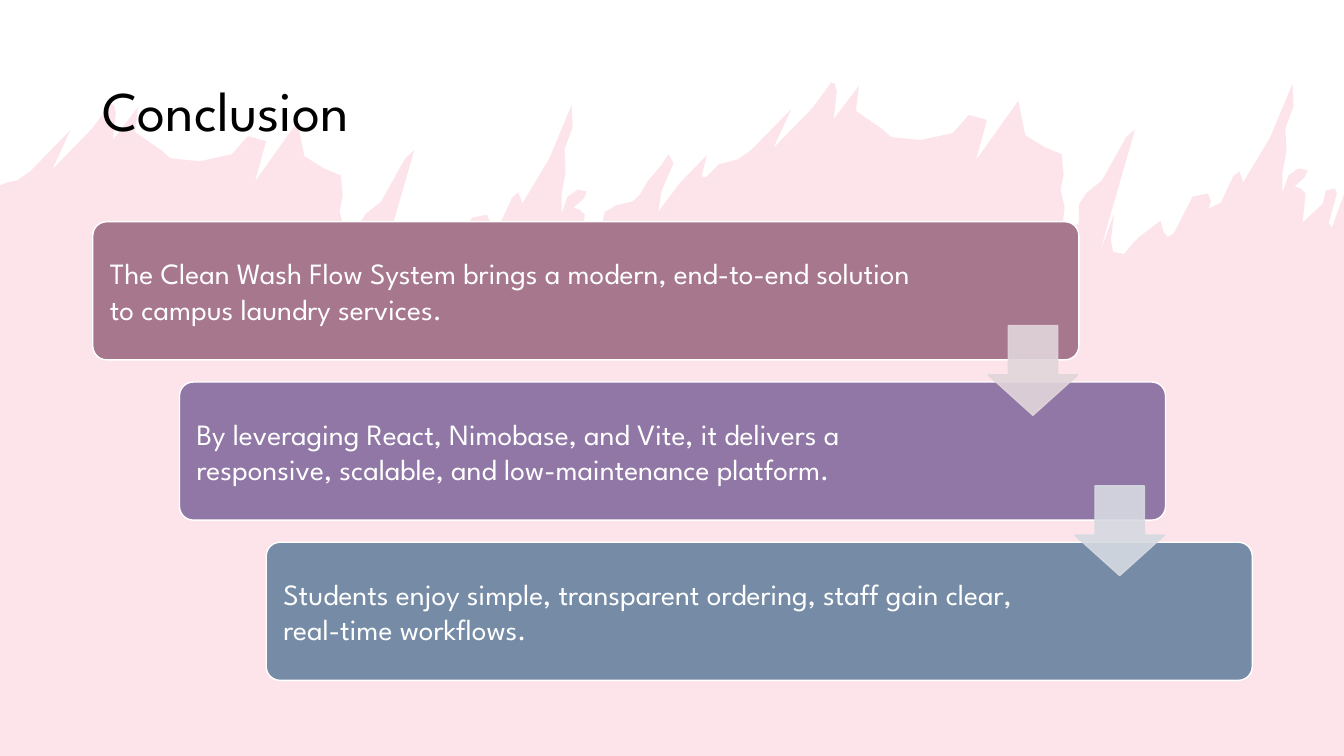
import dataclasses

import pptx
import pptx.dml.color
import pptx.enum.shapes
import pptx.enum.text
import pptx.oxml
import pptx.oxml.ns
import pptx.util

SHAPES = pptx.enum.shapes.MSO_SHAPE
ANCHOR = pptx.enum.text.MSO_ANCHOR

BRUSH_STROKE = [
    (732, 158), (745, 149), (785, 108), (767, 147), (806, 107), (820, 88),
    (824, 82), (828, 83), (830, 91), (827, 118), (852, 85), (849, 110),
    (859, 117), (875, 128), (884, 136), (913, 139), (945, 132), (961, 114),
    (979, 119), (968, 159), (1010, 100), (1012, 110), (1017, 134), (1036, 146),
    (1053, 153), (1055, 173), (1052, 188), (1056, 206), (1054, 221), (1057, 234),
    (1070, 221), (1070, 203), (1078, 191), (1093, 179), (1117, 136), (1126, 128),
    (1108, 190), (1091, 250), (1105, 212), (1102, 238), (1104, 250), (1115, 252),
    (1124, 241), (1130, 235), (1151, 219), (1154, 230), (1158, 235), (1164, 232),
    (1183, 195), (1198, 192), (1201, 199), (1199, 207), (1211, 201), (1223, 175),
    (1229, 170), (1232, 177), (1233, 181), (1260, 136), (1282, 83), (1283, 105),
    (1275, 127), (1276, 150), (1272, 172), (1272, 191), (1278, 174), (1288, 167),
    (1297, 169), (1294, 176), (1284, 185), (1290, 187), (1295, 192), (1292, 221),
    (1312, 202), (1315, 189),
]
STROKE_GAP = [
    (606, 207), (610, 204), (627, 200), (634, 194), (643, 179), (656, 164),
    (663, 153), (668, 162), (656, 190), (653, 210), (674, 182),
    (701, 154), (696, 175), (700, 176), (713, 163),
]
RIGHT_EDGE = [
    (1324, 187), (1326, 192), (1318, 221), (1321, 226), (1333, 193),
    (1333, 750), (0, 750), (0, 184), (7, 181),
]


@dataclasses.dataclass
class Theme:
    """Colours and type sizes of the slide."""
    font: str = "League Spartan"
    title_size: int = 40
    card_size: int = 21
    title: str = "000000"
    light: str = "FFFFFF"
    brush: str = "F07C98"
    cards: tuple = ("A6778D", "9077A6", "768BA6")
    arrows: tuple = ("E1D6DB", "D6DAE1")


class SlideBuilder:
    """Draws styled elements on the current slide."""

    def __init__(self, presentation, theme):
        self.theme = theme
        self.slide = presentation.slides.add_slide(presentation.slide_layouts[6])

    @staticmethod
    def px(length):
        """Turn px into EMU."""
        return pptx.util.Emu(length * 9144)

    def paint(self, fill, color, parent, opacity=100):
        """Apply a solid colour with an opacity in percent."""
        fill.solid()
        fill.fore_color.rgb = pptx.dml.color.RGBColor.from_string(color)
        if opacity < 100:
            solid = parent.find(pptx.oxml.ns.qn("a:solidFill"))
            solid[0].append(pptx.oxml.parse_xml(
                f'<a:alpha {pptx.oxml.ns.nsdecls("a")} val="{opacity * 1000}"/>'))

    def set_text(self, shape, text, size, color):
        """Set left-aligned text centred vertically."""
        frame = shape.text_frame
        frame.text = text
        frame.word_wrap = True
        frame.vertical_anchor = ANCHOR.MIDDLE
        paragraph = frame.paragraphs[0]
        paragraph.alignment = pptx.enum.text.PP_ALIGN.LEFT
        font = paragraph.runs[0].font
        font.name = self.theme.font
        font.size = pptx.util.Pt(size)
        font.color.rgb = pptx.dml.color.RGBColor.from_string(color)
        return paragraph

    def shape(self, kind, box, adjustments, fill, line, opacity=100):
        """Add a filled and outlined preset shape."""
        shape = self.slide.shapes.add_shape(kind, *map(self.px, box))
        shape.shadow.inherit = False
        for index, value in enumerate(adjustments):
            shape.adjustments[index] = value
        properties = shape.element.spPr
        shape.line.width = pptx.util.Pt(1)
        self.paint(shape.fill, fill, properties, opacity)
        self.paint(shape.line.fill, line, properties.find(pptx.oxml.ns.qn("a:ln")), opacity)
        return shape

    def brush_wash(self, points):
        """Add the translucent brush background."""
        builder = self.slide.shapes.build_freeform(*points[0], scale=9144)
        builder.add_line_segments(points[1:], close=True)
        shape = builder.convert_to_shape()
        shape.shadow.inherit = False
        self.paint(shape.fill, self.theme.brush, shape.element.spPr, 20)
        shape.line.fill.background()

    def title(self, box, text):
        """Add the slide title."""
        shape = self.slide.shapes.add_textbox(*map(self.px, box))
        paragraph = self.set_text(shape, text, self.theme.title_size, self.theme.title)
        paragraph.line_spacing = 0.9

    def card(self, box, text, fill, right_margin):
        """Add a rounded card with its statement."""
        shape = self.shape(SHAPES.ROUNDED_RECTANGLE, box, [0.1], fill, self.theme.light)
        self.set_text(shape, text, self.theme.card_size, self.theme.light)
        shape.text_frame.margin_left = self.px(13)
        shape.text_frame.margin_right = self.px(right_margin)

    def arrow(self, box, color):
        """Add a translucent arrow pointing down."""
        self.shape(SHAPES.DOWN_ARROW, box, [0.55, 0.45], color, color, 90)


def main():
    """Build and save the slide."""
    presentation = pptx.Presentation()
    presentation.slide_width = pptx.util.Inches(13.33)
    presentation.slide_height = pptx.util.Inches(7.5)
    theme = Theme()
    builder = SlideBuilder(presentation, theme)

    left_stroke = [(x - 715, y + 21) for x, y in BRUSH_STROKE]
    builder.brush_wash(left_stroke + STROKE_GAP + BRUSH_STROKE + RIGHT_EDGE)
    builder.title((92, 40, 1150, 145), "Conclusion")

    statements = [
        ("The Clean Wash Flow System brings a modern, end-to-end solution "
         "to campus laundry services.", 153),
        ("By leveraging React, Nimobase, and Vite, it delivers a responsive, "
         "scalable, and low-maintenance platform.", 188),
        ("Students enjoy simple, transparent ordering, staff gain clear, "
         "real-time workflows.", 188),
    ]
    step_x, step_y = 86, 159
    for index, (text, margin) in enumerate(statements):
        box = (92 + index * step_x, 220 + index * step_y, 978, 137)
        builder.card(box, text, theme.cards[index], margin)
    for index, color in enumerate(theme.arrows):
        builder.arrow((980 + index * step_x, 323 + index * step_y, 89, 89), color)

    presentation.save("out.pptx")


if __name__ == "__main__":
    main()
